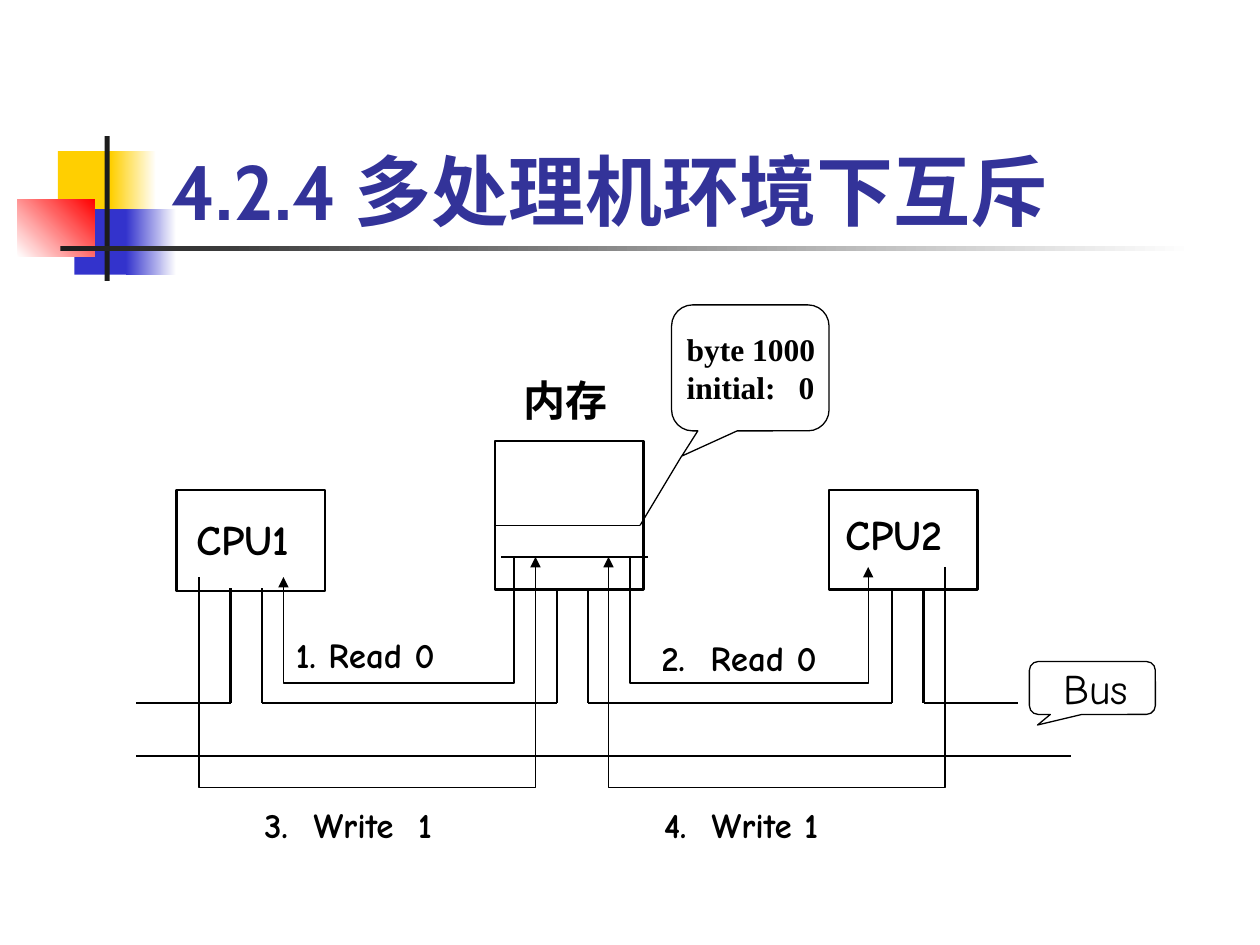
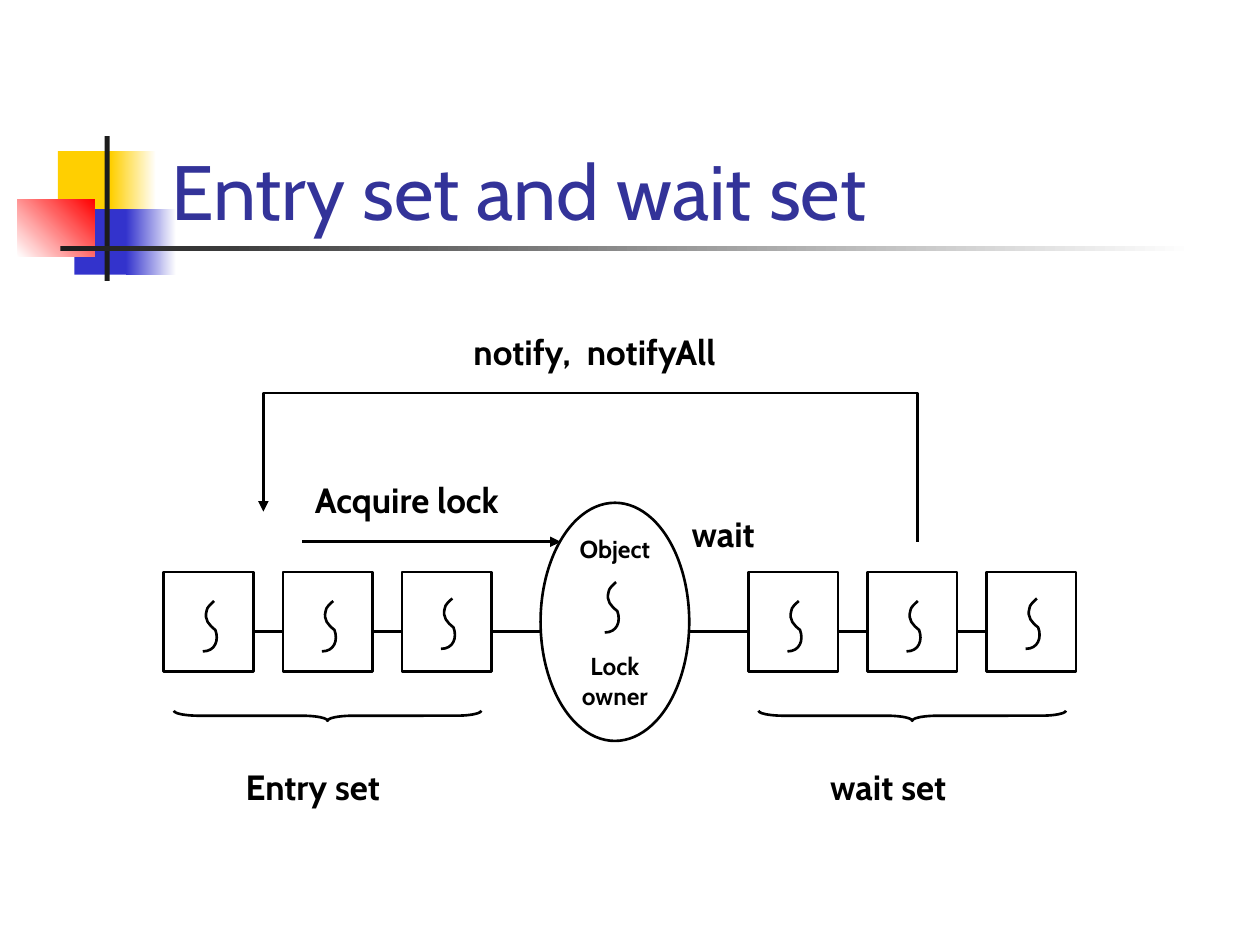
from lxml.etree import SubElement
from pptx import Presentation
from pptx.dml.color import RGBColor
from pptx.enum.shapes import MSO_CONNECTOR, MSO_SHAPE
from pptx.enum.text import MSO_ANCHOR, PP_ALIGN
from pptx.oxml.ns import qn
from pptx.util import Inches, Pt

COLORS = {"title": "333399", "ink": "000000", "paper": "FFFFFF", "yellow": "FFCF01",
          "blue": "3333CC", "red": "FF0000", "bar": "1C1C1C"}
CABIN, COMIC, TIMES = "Cabin", "Comic Neue", "Times New Roman"
TITLE = {"size": Pt(44), "name": CABIN, "bold": False}
CPU_NAME = {"size": Pt(24), "name": COMIC, "bold": True}
MEMORY_NAME = {"size": Pt(24), "name": TIMES, "bold": True}
BUS_NAME = {"size": Pt(24), "name": COMIC, "bold": False}
BYTE_NOTE = {"size": Pt(18), "name": TIMES, "bold": True}
STEP = {"size": Pt(20), "name": COMIC, "bold": True}
SET_LABEL = {"size": Pt(20), "name": CABIN, "bold": True}
OWNER = {"size": Pt(14), "name": CABIN, "bold": True}

SQUIGGLE = [(0.09, 0),
            (0.07, 0.02), (0.03, 0.05), (0.03, 0.08),
            (0.01, 0.15), (0.05, 0.19), (0.1, 0.23),
            (0.13, 0.31), (0.1, 0.4), (0, 0.4)]


def color(key):
    """Return a named colour."""
    return RGBColor.from_string(COLORS[key])


def write(shape, lines, style, ink="ink", align=PP_ALIGN.LEFT,
          anchor=MSO_ANCHOR.TOP, wrap=True, tabs=(), gaps=()):
    """Fill a shape with styled paragraphs, tab stops and gaps above lines."""
    frame = shape.text_frame
    frame.word_wrap = wrap
    frame.vertical_anchor = anchor
    for index, line in enumerate(lines):
        paragraph = frame.paragraphs[0] if index == 0 else frame.add_paragraph()
        paragraph.alignment = align
        if index in gaps:
            paragraph.space_before = gaps[index]
        if tabs:
            stops = SubElement(paragraph._p.get_or_add_pPr(), qn("a:tabLst"))
            for stop in tabs:
                SubElement(stops, qn("a:tab"), pos=str(Inches(stop)), algn="l")
        run = paragraph.add_run()
        run.text = line
        for attribute, value in style.items():
            setattr(run.font, attribute, value)
        run.font.color.rgb = color(ink)


def label(slide, left, top, width, height, text, style, **options):
    """Add one line of text in a box."""
    box = slide.shapes.add_textbox(*map(Inches, (left, top, width, height)))
    write(box, [text], style, **options)


def outline(shape, weight, arrow=False):
    """Give a shape or connector a black line, with an arrowhead if asked."""
    shape.line.color.rgb = color("ink")
    shape.line.width = Pt(weight)
    if arrow:
        SubElement(shape.line._get_or_add_ln(), qn("a:tailEnd"), type="triangle")


def preset(slide, kind, left, top, width, height, weight=1.5, filled=True):
    """Add an outlined preset shape."""
    shape = slide.shapes.add_shape(kind, *map(Inches, (left, top, width, height)))
    shape.shadow.inherit = False
    if filled:
        shape.fill.solid()
        shape.fill.fore_color.rgb = color("paper")
    else:
        shape.fill.background()
    outline(shape, weight)
    return shape


def segment(slide, x1, y1, x2, y2, weight, arrow=False):
    """Draw a straight line."""
    line = slide.shapes.add_connector(MSO_CONNECTOR.STRAIGHT,
                                      *map(Inches, (x1, y1, x2, y2)))
    outline(line, weight, arrow)
    SubElement(line._element.spPr, qn("a:effectLst"))


def path_through(slide, left, top, points, weight, arrow=False):
    """Draw an open line through points given relative to a corner."""
    corners = [(Inches(left + x), Inches(top + y)) for x, y in points]
    builder = slide.shapes.build_freeform(*corners[0])
    builder.add_line_segments(corners[1:], close=False)
    shape = builder.convert_to_shape()
    shape.shadow.inherit = False
    shape.fill.background()
    outline(shape, weight, arrow)
    return shape


def masthead(slide, title, left=0.14, top=0.67, bold=False):
    """Draw the coloured blocks, the cross bars and the title."""
    blocks = [(0.32, 0.53, 0.48, 0.52, "yellow", "yellow", 0),
              (0.74, 0.53, 0.36, 0.52, "yellow", "paper", 0),
              (0.45, 0.99, 0.46, 0.52, "blue", "blue", 0),
              (0.86, 0.99, 0.4, 0.52, "blue", "paper", 0),
              (0, 0.91, 0.61, 0.46, "paper", "red", 45),
              (0.69, 0.41, 0.04, 1.15, "bar", "bar", 0),
              (0.34, 1.28, 9, 0.04, "bar", "paper", 0)]
    for x, y, width, height, start, end, angle in blocks:
        block = slide.shapes.add_shape(
            MSO_SHAPE.RECTANGLE, *map(Inches, (left + x, top + y, width, height)))
        block.shadow.inherit = False
        block.line.fill.background()
        if start == end:
            block.fill.solid()
            block.fill.fore_color.rgb = color(start)
        else:
            block.fill.gradient()
            block.fill.gradient_angle = angle
            for stop, key, position in zip(block.fill.gradient_stops, (start, end), (0, 1)):
                stop.color.rgb = color(key)
                stop.position = position
    label(slide, left + 1.12, top, 8.52, 1.25, title, {**TITLE, "bold": bold},
          ink="title", anchor=MSO_ANCHOR.BOTTOM)


def callout(slide, left, top, width, height, lines, style, **options):
    """Add a speech callout whose tip is at the lower left."""
    bubble = preset(slide, MSO_SHAPE.ROUNDED_RECTANGULAR_CALLOUT,
                    left, top, width, height, 0.75, filled=False)
    for index, value in enumerate((-0.435, 0.7, 0.167)):
        bubble.adjustments[index] = value
    bubble.text_frame.margin_left = Inches(0.07)
    bubble.text_frame.margin_right = Inches(0.02)
    write(bubble, lines, style, anchor=MSO_ANCHOR.MIDDLE, **options)


def cpu(slide, left, top, height, name, name_x, name_y):
    """Draw a processor box with its name."""
    preset(slide, MSO_SHAPE.RECTANGLE, left, top, 1.18, height)
    label(slide, left + name_x, top + name_y, 1.08, 0.5, name, CPU_NAME)


def memory(slide, left, top):
    """Draw the memory box, its shared byte and the note on it."""
    preset(slide, MSO_SHAPE.RECTANGLE, left, top, 1.18, 1.18)
    segment(slide, left + 0.05, top + 0.92, left + 1.21, top + 0.92, 0.75)
    segment(slide, left - 0.01, top + 0.67, left + 1.15, top + 0.67, 0.75)
    segment(slide, left + 1.48, top + 0.12, left + 1.15, top + 0.67, 0.75)
    label(slide, left + 0.13, top - 0.58, 0.92, 0.5, "内存", MEMORY_NAME)
    callout(slide, left + 1.4, top - 1.08, 1.25, 1, ["byte 1000", "initial:\t0"],
            BYTE_NOTE, tabs=[0.89])


def bus(slide, left, top):
    """Draw the bus rails, the drops to each unit and the bus note."""
    drops = [left + x for x in (0.75, 1, 3.34, 3.59, 6, 6.25)]
    for x in drops:
        segment(slide, x, top - 0.91, x, top, 1.25)
    ends = [left, *drops, left + 7]
    for start, end in zip(ends[::2], ends[1::2]):
        segment(slide, start, top, end, top, 1.25)
    segment(slide, left, top + 0.42, left + 7.42, top + 0.42, 1.25)
    callout(slide, left + 7.09, top - 0.33, 1, 0.42, ["Bus"], BUS_NAME,
            align=PP_ALIGN.CENTER, wrap=False)


def transfers(slide, left, top):
    """Draw the four numbered reads and writes, below the shared byte."""
    routes = [(2.5, 0, 0.67, 0.16, 1), (0, 0.16, 2.67, 0, 1.83),
              (5.92, 0.08, 3.25, 0, 1.83), (3.42, 0, 5.31, 0.08, 1)]
    for start, start_y, end, end_y, depth in routes:
        corners = [(start, start_y), (start, depth), (end, depth), (end, end_y)]
        path_through(slide, left, top, corners, 0.75, arrow=True)
    steps = [(0.67, 0.56, "1. Read 0", ()), (3.57, 0.58, "2.\tRead 0", [0.39]),
             (0.42, 1.91, "3.\tWrite\t1", [0.39, 1.22]), (3.59, 1.91, "4.\tWrite 1", [0.38])]
    for x, y, text, tabs in steps:
        label(slide, left + x, top + y, 2, 0.44, text, STEP, tabs=tabs)


def squiggle(slide, left, top):
    """Draw the thread mark, turning each three points into one curve."""
    mark = path_through(slide, left, top, SQUIGGLE, 1.5)
    outline_path = next(mark._element.iter(qn("a:path")))
    sides = outline_path.findall(qn("a:lnTo"))
    for first in range(0, len(sides), 3):
        curve = SubElement(outline_path, qn("a:cubicBezTo"))
        for side in sides[first:first + 3]:
            curve.append(side[0])
            outline_path.remove(side)


def thread_set(slide, left, top, name):
    """Draw three linked thread boxes with a brace and a name below."""
    size, pitch = 0.71, 0.945
    for index, drop in enumerate((0.23, 0.23, 0.21)):
        x = left + index * pitch
        preset(slide, MSO_SHAPE.RECTANGLE, x, top, size, 0.79)
        squiggle(slide, x + 0.31, top + drop)
        if index:
            segment(slide, x - pitch + size, top + 0.47, x, top + 0.47, 1.5)
    brace = preset(slide, MSO_SHAPE.LEFT_BRACE, left + 1.26, top - 0.08, 0.08, 2.44,
                   filled=False)
    brace.rotation = 270
    brace.adjustments[0] = 2.5
    label(slide, left + 0.55, top + 1.49, 1.49, 0.44, name, SET_LABEL)


def lock_owner(slide, left, top):
    """Draw the locked object with its owner thread and its links."""
    owner = preset(slide, MSO_SHAPE.OVAL, left, top, 1.18, 1.89)
    write(owner, ["Object", "Lock", "owner"], OWNER, align=PP_ALIGN.CENTER,
          anchor=MSO_ANCHOR.MIDDLE, wrap=False, gaps={1: Pt(50.5)})
    squiggle(slide, left + 0.51, top + 0.63)
    for start, end in ((-0.39, 0), (1.18, 1.65)):
        segment(slide, left + start, top + 1.02, left + end, top + 1.02, 1.5)


def lock_moves(slide, left, top):
    """Draw the notify path, the acquire arrow and their labels."""
    notify = [(5.19, 1.18), (5.19, 0), (0, 0), (0, 0.94)]
    path_through(slide, left, top, notify, 1.5, arrow=True)
    segment(slide, left + 0.31, top + 1.18, left + 2.36, top + 1.18, 1.5, arrow=True)
    label(slide, left + 1.57, top - 0.55, 2.6, 0.44, "notify,\tnotifyAll", SET_LABEL,
          tabs=[0.9])
    label(slide, left + 0.31, top + 0.63, 2.2, 0.44, "Acquire lock", SET_LABEL)
    label(slide, left + 3.3, top + 0.9, 0.87, 0.44, "wait", SET_LABEL)


def multiprocessor_slide(slide):
    """Show two processors racing on one byte over the bus."""
    masthead(slide, "4.2.4 多处理机环境下互斥", bold=True)
    memory(slide, 3.93, 3.5)
    cpu(slide, 1.4, 3.89, 0.8, "CPU1", 0.06, 0.14)
    cpu(slide, 6.58, 3.89, 0.79, "CPU2", 0.03, 0.1)
    bus(slide, 1.08, 5.58)
    transfers(slide, 1.58, 4.42)


def entry_wait_slide(slide):
    """Show the entry set and the wait set around a locked object."""
    masthead(slide, "Entry set and wait set")
    lock_owner(slide, 4.29, 3.99)
    thread_set(slide, 1.3, 4.54, "Entry set")
    thread_set(slide, 5.94, 4.54, "wait set")
    lock_moves(slide, 2.09, 3.12)


def main():
    """Build and save both slides."""
    deck = Presentation()
    deck.slide_width, deck.slide_height = Inches(10), Inches(7.5)
    for build in (multiprocessor_slide, entry_wait_slide):
        build(deck.slides.add_slide(deck.slide_layouts[6]))
    deck.save("out.pptx")


if __name__ == "__main__":
    main()
